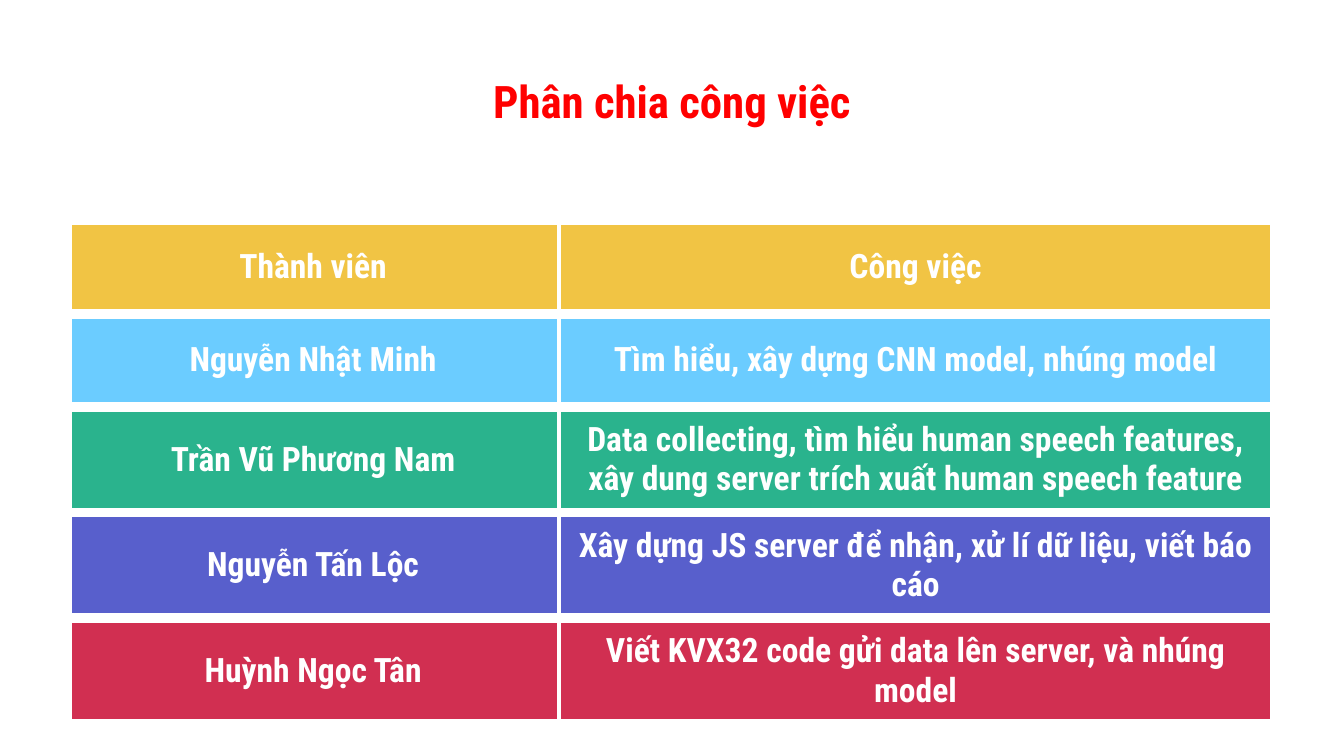
from lxml.etree import SubElement
from pptx import Presentation
from pptx.dml.color import RGBColor
from pptx.enum.text import MSO_ANCHOR as ANCHOR, PP_ALIGN as ALIGN
from pptx.oxml.ns import qn
from pptx.util import Pt

FONT = "Roboto Condensed"
COLORS = {
    "title": "FF0000", "white": "FFFFFF", "yellow": "F1C444", "sky": "6BCCFF",
    "green": "2AB38D", "indigo": "585FCC", "crimson": "D12F51",
}
TASKS = [
    ("yellow", "Thành viên", "Công việc"),
    ("sky", "Nguyễn Nhật Minh", "Tìm hiểu, xây dựng CNN model, nhúng model"),
    ("green", "Trần Vũ Phương Nam",
     "Data collecting, tìm hiểu human speech features, "
     "xây dung server trích xuất human speech feature"),
    ("indigo", "Nguyễn Tấn Lộc",
     "Xây dựng JS server để nhận, xử lí dữ liệu, viết báo cáo"),
    ("crimson", "Huỳnh Ngọc Tân",
     "Viết KVX32 code gửi data lên server, và nhúng model"),
]


def write(frame, text, size, color, anchor, inset_y):
    """Write one centred bold line into a text box or table cell."""
    frame.margin_left = frame.margin_right = Pt(7.2)
    frame.margin_top = frame.margin_bottom = Pt(inset_y)
    frame.vertical_anchor = anchor
    p = getattr(frame, "text_frame", frame).paragraphs[0]
    p.alignment = ALIGN.CENTER
    r = p.add_run()
    r.text = text
    r.font.name, r.font.size, r.font.bold = FONT, Pt(size), True
    r.font.color.rgb = RGBColor.from_string(COLORS[color])


def set_borders(cell, widths):
    """Draw white cell borders from a mapping of side to width."""
    tc_pr = cell._tc.get_or_add_tcPr()
    for side, width in widths.items():
        ln = SubElement(tc_pr, qn(f"a:ln{side}"), w=str(Pt(width)))
        fill = SubElement(ln, qn("a:solidFill"))
        SubElement(fill, qn("a:srgbClr"), val=COLORS["white"])


def add_title(s, x, y, w, h):
    """Place the slide title in the given box."""
    tf = s.shapes.add_textbox(Pt(x), Pt(y), Pt(w), Pt(h)).text_frame
    tf.word_wrap = True
    write(tf, "Phân chia công việc", 24, "title", ANCHOR.TOP, 7.2)


def add_task_table(s, x, y, w, h):
    """Place the table of members and tasks in the given box."""
    member_w = 263.5
    table = s.shapes.add_table(len(TASKS), 2, Pt(x), Pt(y), Pt(w), Pt(h)).table
    for col, width in zip(table.columns, (member_w, w - member_w)):
        col.width = Pt(width)
    for i, (color, *texts) in enumerate(TASKS):
        table.rows[i].height = Pt(h / len(TASKS))
        for j, text in enumerate(texts):
            cell = table.cell(i, j)
            write(cell, text, 18, "white", ANCHOR.MIDDLE, 6.7)
            set_borders(cell, {"L": 2.25 if j else 6, "R": 2.25, "T": 6, "B": 6})
            cell.fill.solid()
            cell.fill.fore_color.rgb = RGBColor.from_string(COLORS[color])


def main():
    """Build and save the slide."""
    prs = Presentation()
    prs.slide_width, prs.slide_height = Pt(720), Pt(405)
    s = prs.slides.add_slide(prs.slide_layouts[6])
    add_title(s, 36, 32.4, 648, 45.4)
    add_task_table(s, 36, 118, 645.5, 250)
    prs.save("out.pptx")


if __name__ == "__main__":
    main()
